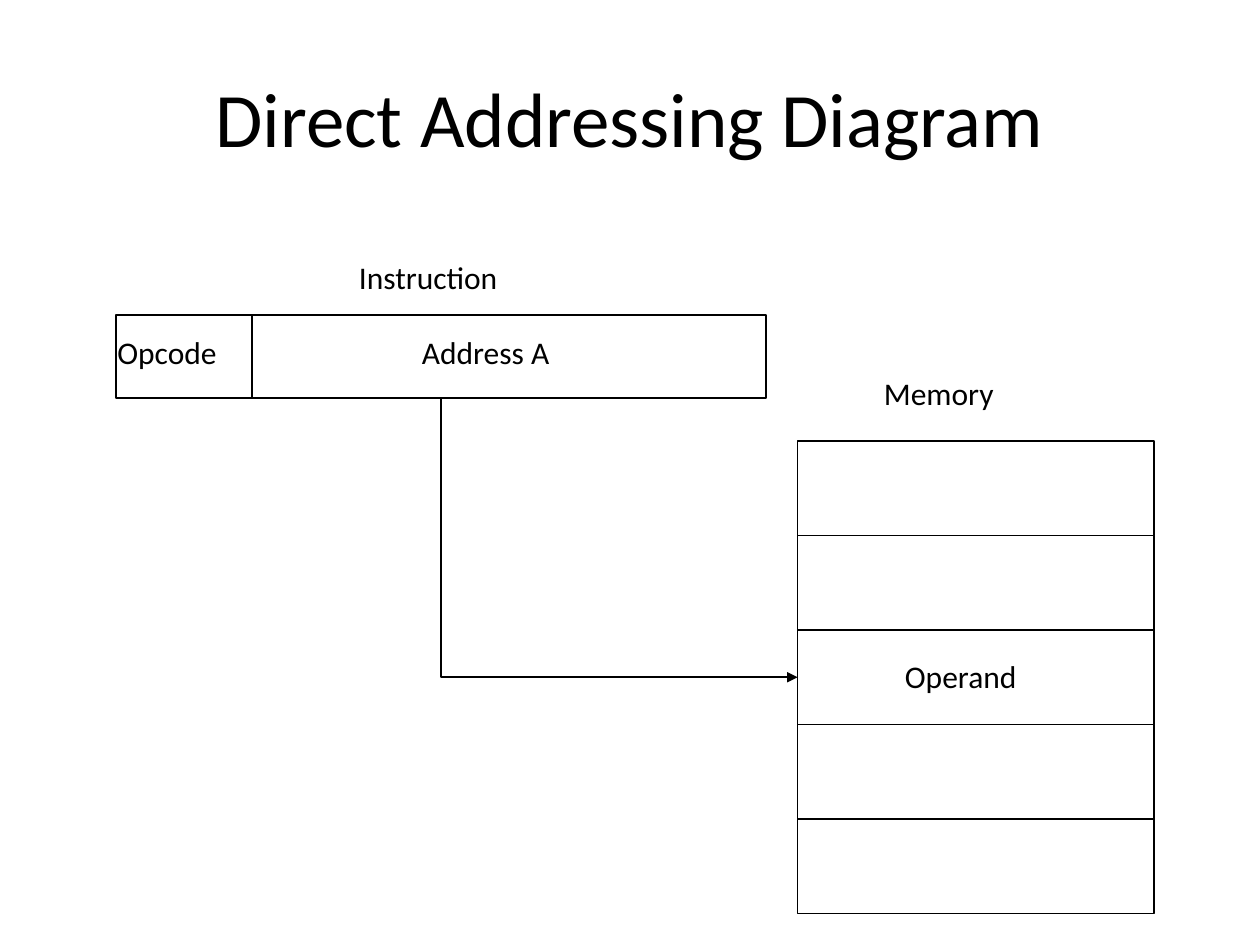
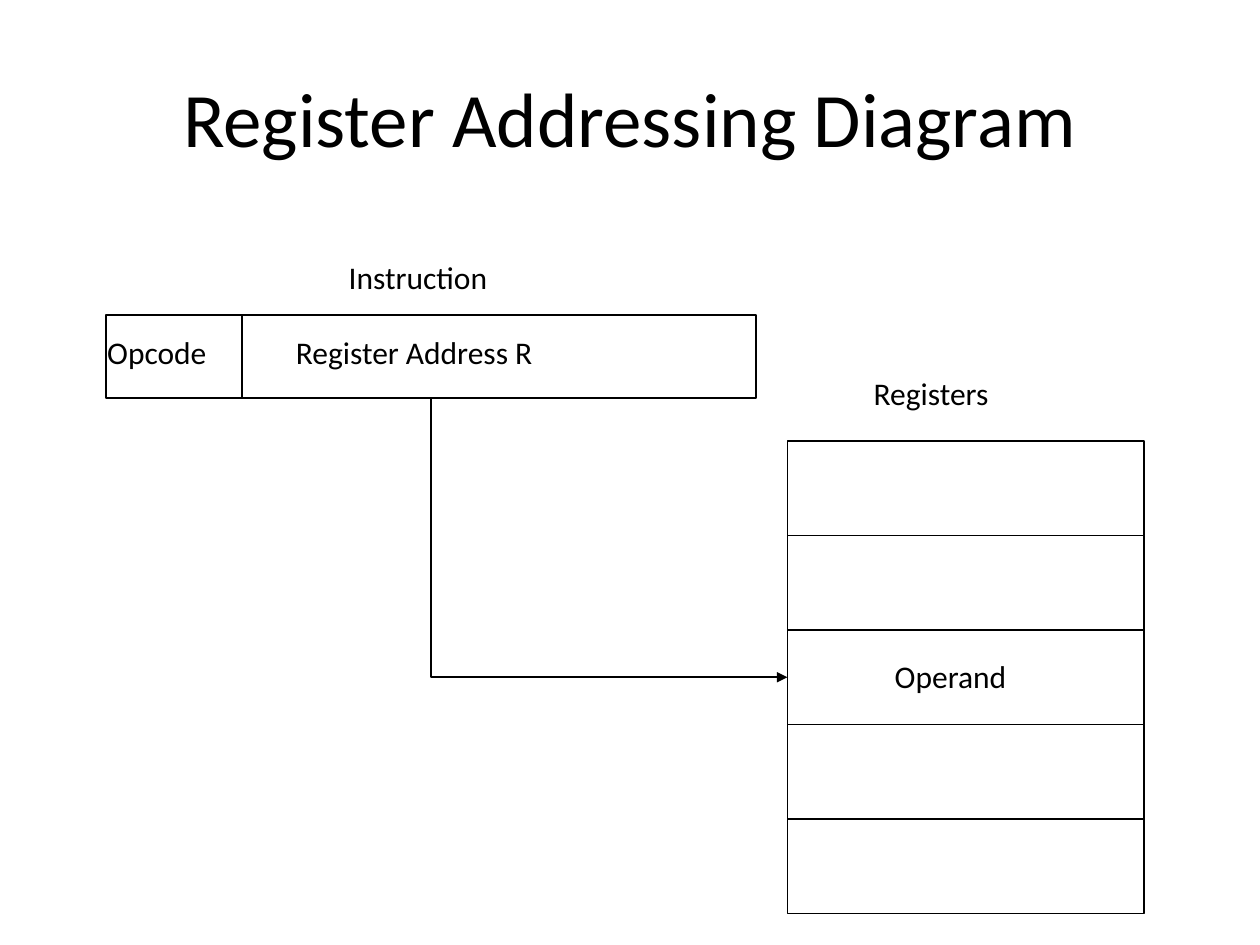
from lxml.etree import SubElement
from pptx import Presentation
from pptx.dml.color import RGBColor
from pptx.enum.shapes import MSO_CONNECTOR, MSO_SHAPE
from pptx.enum.text import MSO_ANCHOR, PP_ALIGN
from pptx.oxml.ns import qn
from pptx.util import Pt

FONT = "Calibri"
INK = "000000"
PAPER = "FFFFFF"
CELL_COUNT = 5
CELL_HEIGHT = 54
CELL_WIDTH = 203.8
STORE_LEFT = 455.8
STORE_TOP = 252
INSTRUCTION_TOP = 180
INSTRUCTION_HEIGHT = 47.5


def color(value):
    """Turn a hex string into a colour."""
    return RGBColor.from_string(value)


def style_line(shape):
    """Give a shape or connector the thin ink line."""
    shape.line.color.rgb = color(INK)
    shape.line.width = Pt(1)


def add_text(page, text, left, top, width, height=36, size=18,
             align=PP_ALIGN.LEFT, anchor=MSO_ANCHOR.TOP):
    """Add one line of text in a box."""
    box = page.shapes.add_textbox(Pt(left), Pt(top), Pt(width), Pt(height))
    frame = box.text_frame
    frame.word_wrap = True
    frame.vertical_anchor = anchor
    frame.text = text
    para = frame.paragraphs[0]
    para.alignment = align
    span = para.runs[0]
    span.font.name = FONT
    span.font.size = Pt(size)
    span.font.color.rgb = color(INK)


def add_outline(shapes, left, top, width, height):
    """Add an unfilled rectangle."""
    box = shapes.add_shape(MSO_SHAPE.RECTANGLE, Pt(left), Pt(top), Pt(width), Pt(height))
    box.shadow.inherit = False
    box.fill.background()
    style_line(box)


def add_instruction(page, left):
    """Add the instruction word, divided into opcode and address fields."""
    shapes = page.shapes.add_group_shape().shapes
    bottom = INSTRUCTION_TOP + INSTRUCTION_HEIGHT
    divider = left + 78
    add_outline(shapes, left, INSTRUCTION_TOP, 371.5, INSTRUCTION_HEIGHT)
    line = shapes.add_connector(MSO_CONNECTOR.STRAIGHT, Pt(divider), Pt(INSTRUCTION_TOP + 0.7),
                                Pt(divider), Pt(bottom))
    style_line(line)
    SubElement(line._element.spPr, qn("a:effectLst"))


def add_store(page, left):
    """Add the column of storage cells."""
    for index in range(CELL_COUNT):
        add_outline(page.shapes, left, STORE_TOP + index * CELL_HEIGHT, CELL_WIDTH, CELL_HEIGHT)


def add_elbow_arrow(page, left, top, right, bottom):
    """Add an arrow that runs down and then right."""
    builder = page.shapes.build_freeform(Pt(left), Pt(top))
    builder.add_line_segments([(Pt(left), Pt(bottom)), (Pt(right), Pt(bottom))], close=False)
    arrow = builder.convert_to_shape()
    arrow.shadow.inherit = False
    arrow.fill.background()
    style_line(arrow)
    SubElement(arrow.line._get_or_add_ln(), qn("a:tailEnd"), type="triangle")


def add_diagram(deck, title, address, address_left, address_width, store, store_width, shift):
    """Add a page that shows how an instruction reaches its operand."""
    page = deck.slides.add_slide(deck.slide_layouts[6])
    page.background.fill.solid()
    page.background.fill.fore_color.rgb = color(PAPER)
    add_text(page, title, 36, 21.6, 648, 90, 44, PP_ALIGN.CENTER, MSO_ANCHOR.MIDDLE)
    add_instruction(page, 66.2 + shift)
    add_text(page, address, address_left, 186.5, address_width)
    add_text(page, "Opcode", 60 + shift, 186.5, 88.6)
    add_text(page, "Instruction", 198 + shift, 144, 118)
    store_left = STORE_LEFT + shift
    add_store(page, store_left)
    add_text(page, store, 498 + shift, 210, store_width)
    add_text(page, "Operand", 510 + shift, 372, 97.2)
    add_elbow_arrow(page, 252 + shift, INSTRUCTION_TOP + INSTRUCTION_HEIGHT, store_left,
                    STORE_TOP + CELL_COUNT * CELL_HEIGHT / 2)


def main():
    """Build and save the deck."""
    deck = Presentation()
    deck.slide_width, deck.slide_height = Pt(720), Pt(540)
    add_diagram(deck, "Direct Addressing Diagram", "Address A", 234, 116.6,
                "Memory", 97.2, 0)
    add_diagram(deck, "Register Addressing Diagram", "Register Address R", 162, 200.9,
                "Registers", 103.7, -5.8)
    deck.save("out.pptx")


main()
